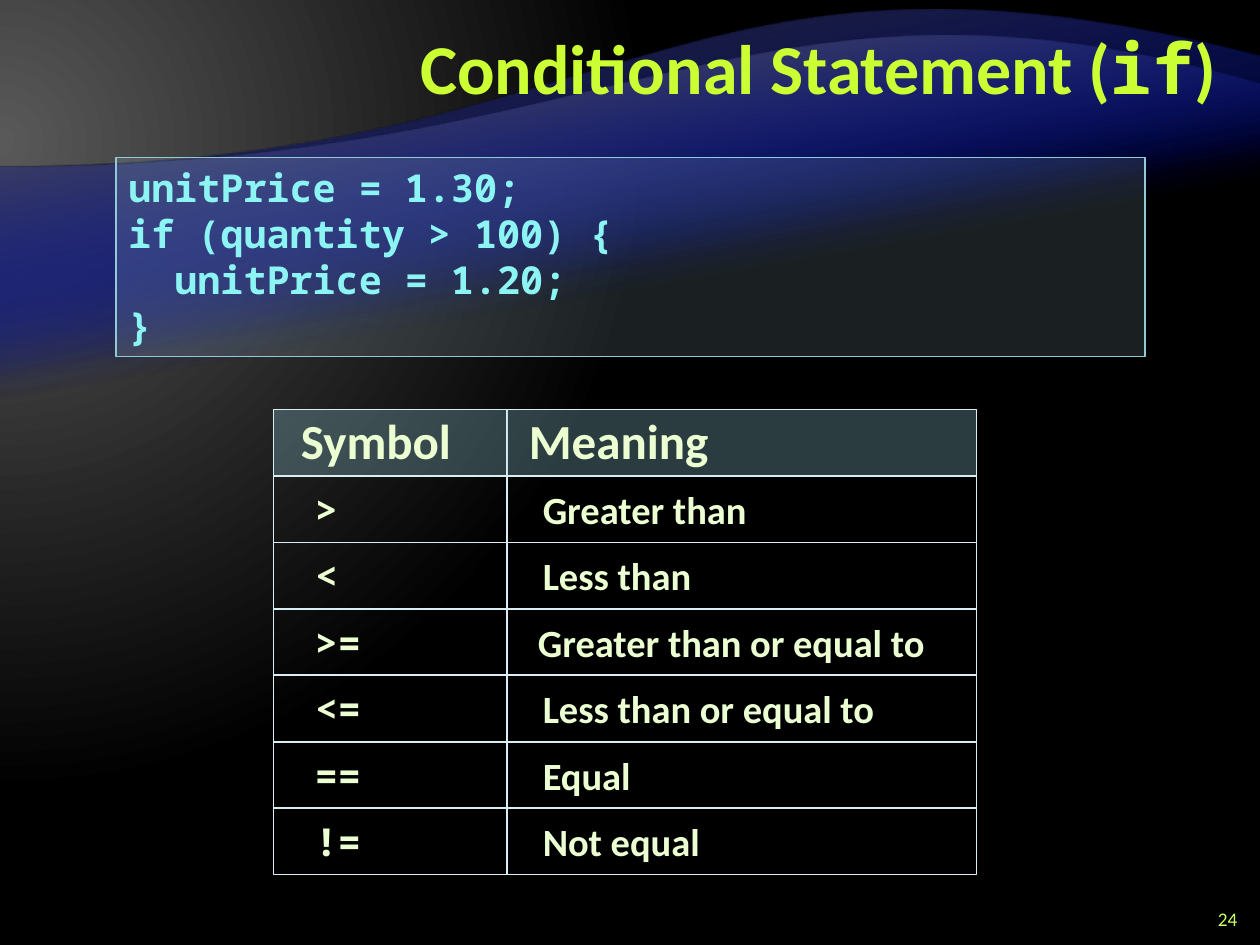
from lxml.etree import SubElement
from pptx import Presentation
from pptx.dml.color import RGBColor
from pptx.enum.shapes import MSO_SHAPE
from pptx.enum.text import MSO_ANCHOR, PP_ALIGN
from pptx.oxml import parse_xml
from pptx.oxml.ns import nsdecls, qn
from pptx.util import Inches, Pt

COLORS = {
    "black": "000000",
    "gray": "595959",
    "dark": "262626",
    "blue": "000D9E",
    "title": "CCFF33",
    "number": "CCFF66",
    "code": "8CF4F2",
    "code_fill": "B5DBE5",
    "accent": "90CAD7",
    "grid": "DAEDF2",
    "cell": "EBFFD2",
}
SANS, MONO = "Calibri", "Noto Sans Mono"


def write(frame, lines, size=22, color="cell", bold=True, align=PP_ALIGN.LEFT, spacing=None, anchor=MSO_ANCHOR.TOP):
    frame.word_wrap = True
    frame.vertical_anchor = anchor
    for index, runs in enumerate(lines):
        paragraph = frame.add_paragraph() if index else frame.paragraphs[0]
        paragraph.alignment = align
        if spacing:
            paragraph.line_spacing = Pt(spacing)
        for text, font in runs:
            run = paragraph.add_run()
            run.text = text
            run.font.name = font
            run.font.size = Pt(size)
            run.font.bold = bold
            run.font.color.rgb = RGBColor.from_string(COLORS[color])


def add_box(left, top, width, height, line, line_width, fill=None, alpha=100):
    box = slide.shapes.add_shape(MSO_SHAPE.RECTANGLE, Inches(left), Inches(top), Inches(width), Inches(height))
    box.shadow.inherit = False
    if fill:
        box.fill.solid()
        box.fill.fore_color.rgb = RGBColor.from_string(COLORS[fill])
        color = next(box.element.iter(qn("a:srgbClr")))
        SubElement(color, qn("a:alpha")).set("val", str(alpha * 1000))
    else:
        box.fill.background()
    box.line.color.rgb = RGBColor.from_string(COLORS[line])
    box.line.width = Pt(line_width)
    return box


presentation = Presentation()
presentation.slide_width, presentation.slide_height = Inches(10), Inches(7.5)
slide = presentation.slides.add_slide(presentation.slide_layouts[6])

background = slide.background.fill
background.gradient()
for stop, position, color in zip(background.gradient_stops, (0, 0.83), ("gray", "black")):
    stop.position = position
    stop.color.rgb = RGBColor.from_string(COLORS[color])
linear = next(slide.element.iter(qn("a:lin")))
linear.getparent().replace(linear, parse_xml(
    f'<a:path {nsdecls("a")} path="circle">'
    '<a:fillToRect l="20000" t="30000" r="135000" b="100000"/></a:path>'))

waves = [
    (0.45, 6.53, (5.34, -0.75), "dark"),
    (0.67, 5.57, (5.98, -0.49), "gray"),
]
for top, bottom, control, color in waves * 2:
    outline = [(10, bottom), (0, bottom), (0, 1.33), (10, top)]
    turned = [(Inches(10 - x), Inches(top + bottom - y)) for x, y in outline]
    builder = slide.shapes.build_freeform(*turned[0])
    builder.add_line_segments(turned[1:], close=True)
    wave = builder.convert_to_shape()
    crest = list(wave.element.iter(qn("a:lnTo")))[2]
    curve = parse_xml(f'<a:cubicBezTo {nsdecls("a")}/>')
    for x, y in ((5, 1.33), control, (10, top)):
        point = SubElement(curve, qn("a:pt"))
        point.set("x", str(Inches(10 - x)))
        point.set("y", str(Inches(bottom - y)))
    crest.getparent().replace(crest, curve)
    wave.rotation = 180
    wave.shadow.inherit = False
    wave.line.fill.background()
    wave.fill.gradient()
    wave.fill.gradient_angle = 280
    for stop, position, name in zip(wave.fill.gradient_stops, (0.65, 1), ("blue", color)):
        stop.position = position
        stop.color.rgb = RGBColor.from_string(COLORS[name])
    clear = next(wave.element.iter(qn("a:srgbClr")))
    SubElement(clear, qn("a:alpha")).set("val", "0")

operators = [
    ("Symbol", "Meaning"),
    (">", "Greater than"),
    ("<", "Less than"),
    (">=", "Greater than or equal to"),
    ("<=", "Less than or equal to"),
    ("==", "Equal"),
    ("!=", "Not equal"),
]
pitch = 3.69 / len(operators)
columns = [(2.17, 1.86, 2.29, 2.4, 1.55, MONO), (4.02, 3.73, 4.1, 4.21, 3.44, SANS)]
for row, texts in enumerate(operators):
    top = 3.25 + row * pitch
    for text, (left, width, header_left, text_left, text_width, font) in zip(texts, columns):
        if row == 0:
            add_box(left, top, width, 0.53, "grid", 0, fill="accent", alpha=30)
            label = slide.shapes.add_textbox(
                Inches(header_left), Inches(top + 0.04), Inches(text_width), Inches(0.38))
            write(label.text_frame, [[(text, SANS)]], size=28, spacing=28)
        else:
            add_box(left, top, width, 0.53, "grid", 0)
            if text == "Greater than or equal to":
                text_left, text_width = 4.17, 3.62
            label = slide.shapes.add_textbox(
                Inches(text_left), Inches(top + 0.03), Inches(text_width), Inches(0.53))
            write(label.text_frame, [[(text, font)]])

title = slide.shapes.add_textbox(Inches(2), Inches(0.08), Inches(7.75), Inches(1))
write(title.text_frame, [[("Conditional Statement (", SANS), ("if", MONO), (")", SANS)]],
      size=40, color="title", align=PP_ALIGN.RIGHT, spacing=40, anchor=MSO_ANCHOR.MIDDLE)

number = slide.shapes.add_textbox(Inches(9.42), Inches(7.17), Inches(0.5), Inches(0.25))
write(number.text_frame, [[("24", SANS)]], size=11, color="number", bold=False,
      align=PP_ALIGN.RIGHT, anchor=MSO_ANCHOR.MIDDLE)

code_lines = ["unitPrice = 1.30;", "if (quantity > 100) {", "  unitPrice = 1.20;", "}"]
code_box = add_box(0.92, 1.25, 8.17, 1.58, "accent", 1, fill="code_fill", alpha=15)
write(code_box.text_frame, [[(line, MONO)] for line in code_lines], color="code")

presentation.save("out.pptx")
